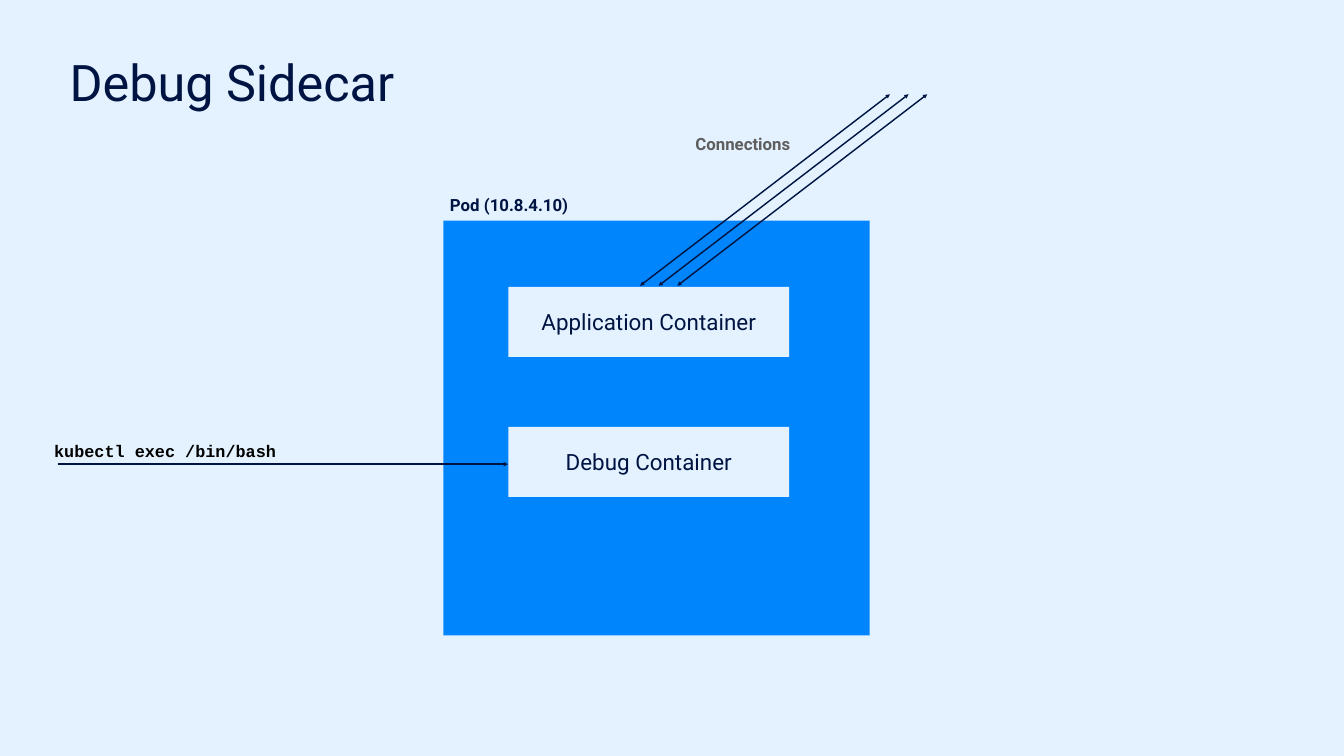
from lxml.etree import SubElement
from pptx import Presentation
from pptx.dml.color import RGBColor
from pptx.enum.shapes import MSO_CONNECTOR, MSO_SHAPE
from pptx.enum.text import MSO_ANCHOR, PP_ALIGN
from pptx.oxml.ns import qn
from pptx.util import Pt

PX = 9144
NAVY, SKY, BLUE, GREY, BLACK = "001443", "E3F2FE", "0185FD", "5E5E5E", "000000"

TITLE = ("Debug Sidecar", (132, 118, 2403, 157))
POD = (880, 438, 846, 823)
CONTAINERS = ["Application Container", "Debug Container"]
CONTAINER_LEFT, CONTAINER_TOP, CONTAINER_STEP = 1009, 569, 278
CONTAINER_SIZE = (557, 139)
LABELS = [
    ("Pod (10.8.4.10)", (887, 380, 413, 51), "Roboto", NAVY, PP_ALIGN.LEFT),
    ("kubectl exec /bin/bash", (101, 869, 453, 51), "Courier New", BLACK, PP_ALIGN.CENTER),
    ("Connections", (1354, 259, 240, 51), "Roboto", GREY, PP_ALIGN.CENTER),
]
EXEC_ARROW = (115, 921, 1008, 921)
CONNECTION = (1270, 567, 1766, 187)
CONNECTION_COUNT, CONNECTION_STEP = 3, 37


def emu(lengths):
    return [length * PX for length in lengths]


def color(value):
    return RGBColor.from_string(value)


def write(shape, text, size, ink, font="Roboto", bold=False,
          align=PP_ALIGN.CENTER, anchor=MSO_ANCHOR.MIDDLE):
    frame = shape.text_frame
    frame.text = text
    frame.word_wrap = True
    frame.vertical_anchor = anchor
    frame.margin_left = frame.margin_right = 6 * PX
    frame.margin_top = frame.margin_bottom = 6 * PX
    paragraph = frame.paragraphs[0]
    paragraph.alignment = align
    style = paragraph.runs[0].font
    style.name, style.size, style.bold = font, Pt(size), bold
    style.color.rgb = color(ink)
    return paragraph


def add_box(slide, place, fill):
    box = slide.shapes.add_shape(MSO_SHAPE.RECTANGLE, *emu(place))
    box.shadow.inherit = False
    box.fill.solid()
    box.fill.fore_color.rgb = color(fill)
    box.line.fill.background()
    return box


def add_arrow(slide, ends, heads):
    arrow = slide.shapes.add_connector(MSO_CONNECTOR.STRAIGHT, *emu(ends))
    arrow.line.color.rgb = color(NAVY)
    arrow.line.width = Pt(2)
    for head in heads:
        SubElement(arrow.line._get_or_add_ln(), qn(head), type="triangle")
    SubElement(arrow._element.spPr, qn("a:effectLst"))


def main():
    deck = Presentation()
    deck.slide_width, deck.slide_height = emu((2667, 1500))
    slide = deck.slides.add_slide(deck.slide_layouts[6])
    slide.background.fill.solid()
    slide.background.fill.fore_color.rgb = color(SKY)

    add_box(slide, POD, BLUE)
    for row, name in enumerate(CONTAINERS):
        top = CONTAINER_TOP + row * CONTAINER_STEP
        container = add_box(slide, (CONTAINER_LEFT, top, *CONTAINER_SIZE), SKY)
        write(container, name, 32, NAVY)

    add_arrow(slide, EXEC_ARROW, ["a:tailEnd"])
    x1, y1, x2, y2 = CONNECTION
    for index in range(CONNECTION_COUNT):
        shift = index * CONNECTION_STEP
        add_arrow(slide, (x1 + shift, y1, x2 + shift, y2), ["a:headEnd", "a:tailEnd"])

    for text, place, font, ink, align in LABELS:
        label = slide.shapes.add_textbox(*emu(place))
        write(label, text, 24, ink, font, True, align)

    text, place = TITLE
    title = slide.shapes.add_textbox(*emu(place))
    heading = write(title, text, 72, NAVY, align=PP_ALIGN.LEFT, anchor=MSO_ANCHOR.TOP)
    heading.line_spacing = 0.8

    deck.save("out.pptx")


if __name__ == "__main__":
    main()
